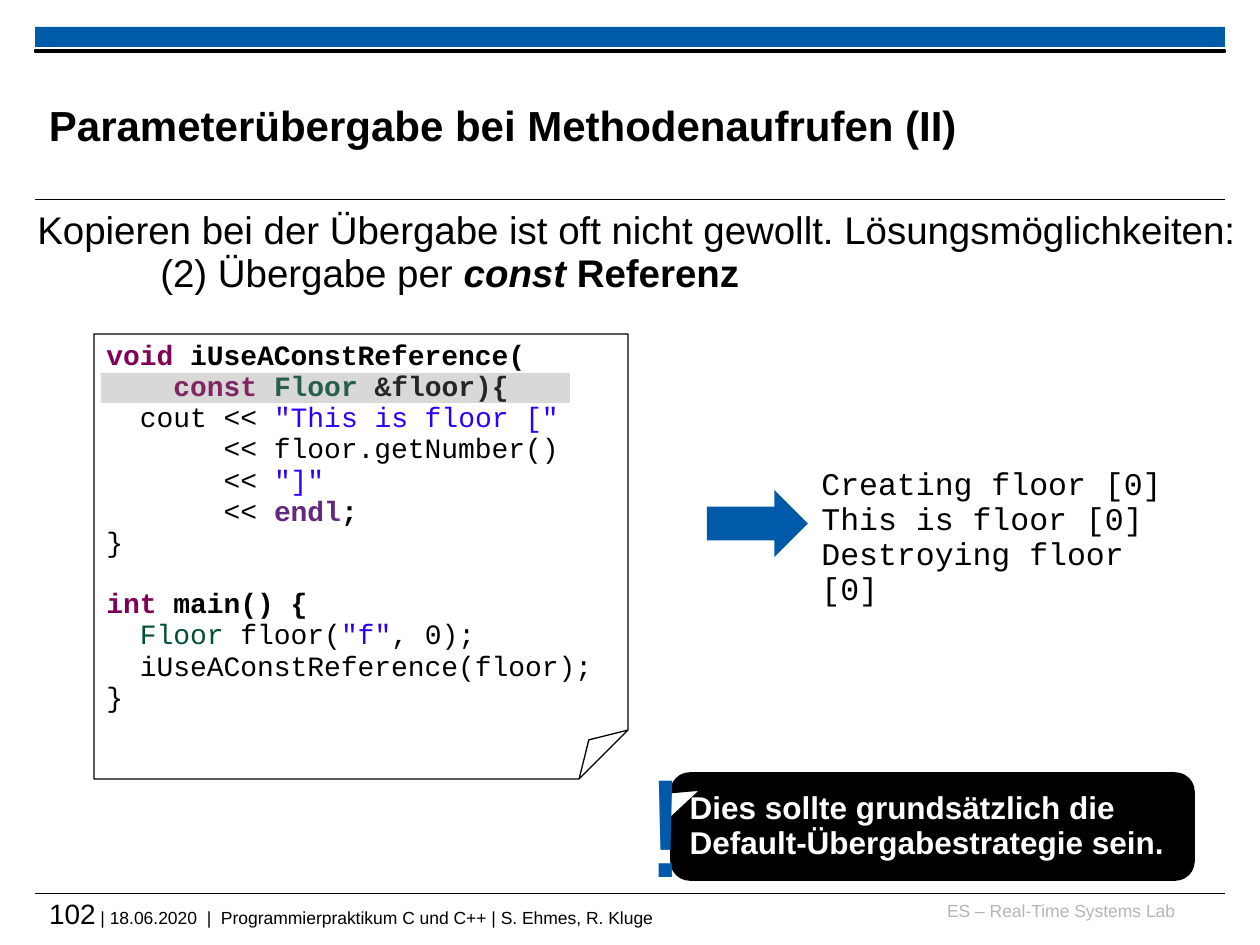
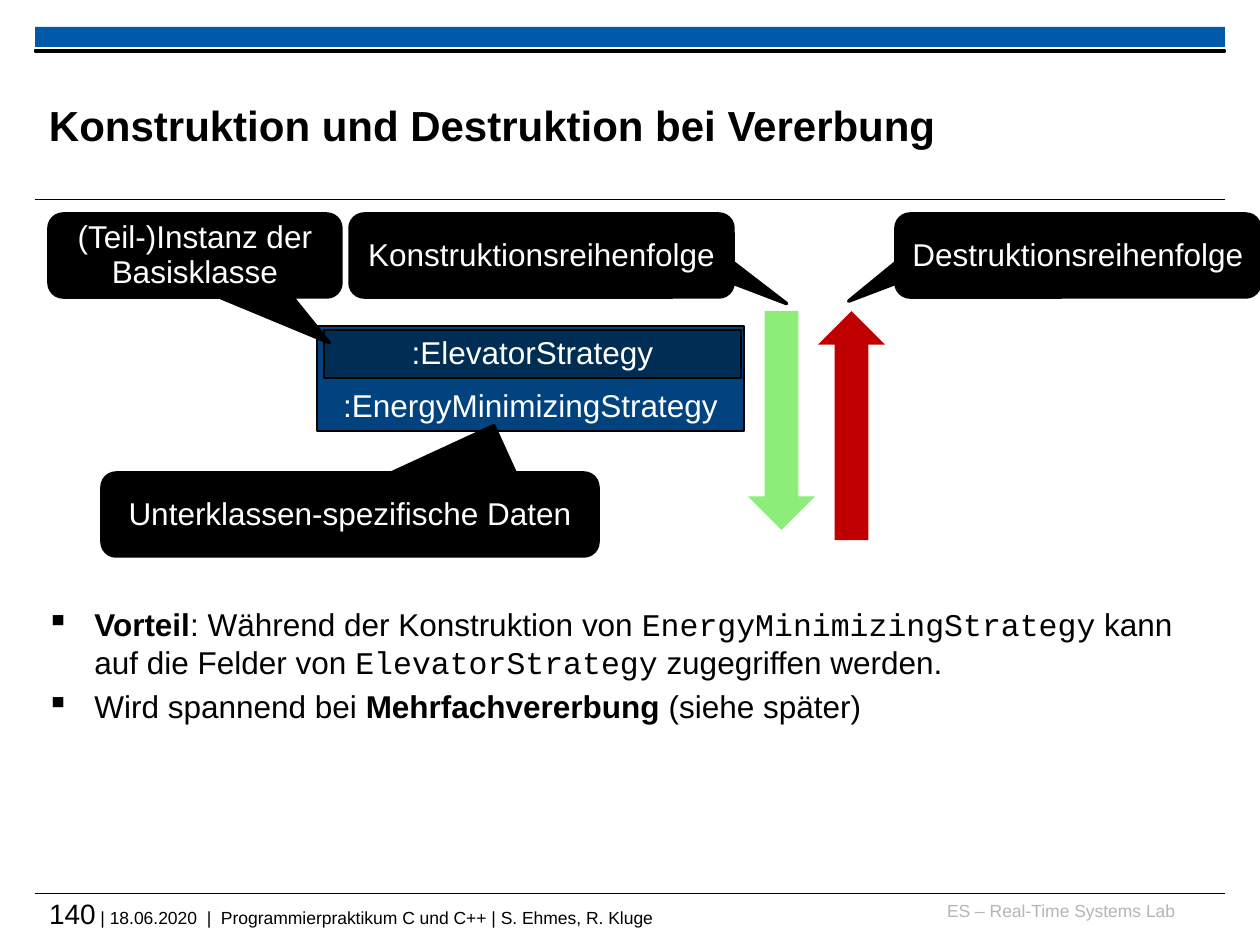
from lxml import etree
from pptx import Presentation
from pptx.dml.color import RGBColor
from pptx.enum.shapes import MSO_CONNECTOR, MSO_SHAPE
from pptx.enum.text import MSO_ANCHOR, PP_ALIGN
from pptx.oxml.ns import qn
from pptx.util import Emu, Pt

PX = 914400 / 126
WIDTH, HEIGHT = 1260, 945
BLACK, WHITE, BLUE, GREY = "000000", "FFFFFF", "005AA9", "B5B5B5"
MIDDLE, BOTTOM = MSO_ANCHOR.MIDDLE, MSO_ANCHOR.BOTTOM
CENTER, RIGHT = PP_ALIGN.CENTER, PP_ALIGN.RIGHT
RECT, ARROW = MSO_SHAPE.RECTANGLE, MSO_SHAPE.RIGHT_ARROW
CALLOUT = MSO_SHAPE.ROUNDED_RECTANGULAR_CALLOUT
TIGHT = 0.93

# Run styles: font values that differ from those of the text block
PLAIN = {}
BOLD = {"bold": True}
BOLD_ITALIC = {"bold": True, "italic": True}
MONO = {"name": "Courier New"}
KEYWORD = {"bold": True, "color": "7F0055"}
TYPE = {"color": "005032"}
BOLD_TYPE = {"bold": True, "color": "005032"}
STRING = {"color": "2A00FF"}
STREAM = {"bold": True, "color": "642880"}

FOOTER = " | 18.06.2020  |  Programmierpraktikum C und C++ | S. Ehmes, R. Kluge"
LAB = "ES – Real-Time Systems Lab"

INTRO = "Kopieren bei der Übergabe ist oft nicht gewollt. Lösungsmöglichkeiten:"
OPTION = [("(2) Übergabe per ", PLAIN), ("const", BOLD_ITALIC), (" Referenz", BOLD)]
FUNCTION_CODE = [
    [("void ", KEYWORD), ("iUseAConstReference(", BOLD)],
    [("    const ", KEYWORD), ("Floor ", BOLD_TYPE), ("&floor){", BOLD)],
    [("  cout << ", PLAIN), ('"This is floor ["', STRING)],
    "       << floor.getNumber()",
    [("       << ", PLAIN), ('"]"', STRING)],
    [("       << ", PLAIN), ("endl", STREAM), (";", BOLD)],
    "}",
]
MAIN_CODE = [
    [("int ", KEYWORD), ("main() {", BOLD)],
    [("  Floor ", TYPE), ("floor(", PLAIN), ('"f"', STRING), (", 0);", PLAIN)],
    "  iUseAConstReference(floor);",
    "}",
]
OUTPUT = ["Creating floor [0]", "This is floor [0]", "Destroying floor [0]"]
ADVICE = "Dies sollte grundsätzlich die Default-Übergabestrategie sein."

# text, box, fill, anchor
OBJECT_BOXES = [
    (":EnergyMinimizingStrategy", (317, 326, 427, 105), "00437F", BOTTOM),
    (":ElevatorStrategy", (324, 330, 417, 48), "002D54", MIDDLE),
]
# box before rotation, rotation, fill
ORDER_ARROWS = [
    ((672, 387, 219, 67), 90, "8CED79"),
    ((737, 392, 229, 67), 270, "C00000"),
]
# text, box, offset of the tip as a share of the box
CALLOUTS = [
    ("Konstruktionsreihenfolge", (350, 214, 383, 83), (0.64, 0.58)),
    ("Destruktionsreihenfolge", (896, 214, 364, 83), (-0.63, 0.55)),
    ("(Teil-)Instanz der Basisklasse", (49, 214, 292, 83), (0.46, 1.05)),
    ("Unterklassen-spezifische Daten", (102, 473, 496, 83), (0.29, -1.07)),
]
BULLETS = [
    [("Vorteil", BOLD), (": Während der Konstruktion von ", PLAIN),
     ("EnergyMinimizingStrategy", MONO), (" kann auf die Felder von ", PLAIN),
     ("ElevatorStrategy", MONO), (" zugegriffen werden.", PLAIN)],
    [("Wird spannend bei ", PLAIN), ("Mehrfachvererbung", BOLD),
     (" (siehe später)", PLAIN)],
]


def px(*lengths):
    return [Emu(round(length * PX)) for length in lengths]


def rgb(color):
    return RGBColor.from_string(color)


def add_runs(paragraph, runs, size, color, font):
    if isinstance(runs, str):
        runs = [(runs, PLAIN)]
    for text, style in runs:
        run = paragraph.add_run()
        run.text = text
        values = {"name": font, "size": Pt(size), "color": color, **style}
        run.font.color.rgb = rgb(values.pop("color"))
        for name, value in values.items():
            setattr(run.font, name, value)


def write(shape, paragraphs, size, color=BLACK, font="Arial", align=PP_ALIGN.LEFT,
          anchor=MSO_ANCHOR.TOP, spacing=TIGHT, insets=None, wrap=True):
    """Fill a shape with paragraphs; insets are (sides, top and bottom) in px."""
    frame = shape.text_frame
    frame.word_wrap = wrap
    frame.vertical_anchor = anchor
    if insets:
        side, edge = px(*insets)
        frame.margin_left = frame.margin_right = side
        frame.margin_top = frame.margin_bottom = edge
    for index, runs in enumerate(paragraphs):
        paragraph = frame.add_paragraph() if index else frame.paragraphs[0]
        paragraph.alignment = align
        paragraph.line_spacing = spacing
        add_runs(paragraph, runs, size, color, font)
    return frame.paragraphs


def indent(paragraph, left, first=0):
    properties = paragraph._p.get_or_add_pPr()
    for name, value in zip(("marL", "indent"), px(left, first)):
        properties.set(name, str(value))
    return properties


def add_text(slide, box, paragraphs, size, **options):
    return write(slide.shapes.add_textbox(*px(*box)), paragraphs, size, **options)


def set_adjustments(shape, values):
    """Write the guides as XML, as python-pptx knows none for a folded corner."""
    guides = shape._element.spPr.find(".//" + qn("a:avLst"))
    for guide in list(guides):
        guides.remove(guide)
    for number, value in enumerate(values, 1):
        name = f"adj{number}" if len(values) > 1 else "adj"
        etree.SubElement(guides, qn("a:gd"), name=name,
                         fmla=f"val {round(value * 100000)}")


def add_shape(slide, kind, box, fill=None, line=None, width=0.75, adjust=()):
    shape = slide.shapes.add_shape(kind, *px(*box))
    shape.shadow.inherit = False
    if fill:
        shape.fill.solid()
        shape.fill.fore_color.rgb = rgb(fill)
    else:
        shape.fill.background()
    if line:
        shape.line.color.rgb = rgb(line)
        shape.line.width = Pt(width)
    else:
        shape.line.fill.background()
    if adjust:
        set_adjustments(shape, adjust)
    return shape


def add_callout(slide, box, tip):
    return add_shape(slide, CALLOUT, box, BLACK, BLACK, 2, (*tip, 0.17))


def add_rule(slide, left, top, length):
    rule = slide.shapes.add_connector(
        MSO_CONNECTOR.STRAIGHT, *px(left, top, left + length, top))
    rule.line.color.rgb = rgb(BLACK)
    rule.line.width = Pt(0.6)
    etree.SubElement(rule._element.spPr, qn("a:effectLst"))


def add_base_slide(presentation, title, number):
    """Add a slide with the bands, rules, footer and title that all slides share."""
    slide = presentation.slides.add_slide(presentation.slide_layouts[6])
    add_rule(slide, 35, 894, 1190)
    add_shape(slide, RECT, (35, 27, 1190, 20), BLUE)
    add_rule(slide, 35, 200, 1190)
    add_shape(slide, RECT, (35, 50, 1190, 2), BLACK, BLACK)
    flush = {"spacing": 1, "insets": (0, 0)}
    add_text(slide, (927, 900, 248, 32), [LAB], 10, color=GREY, align=RIGHT, **flush)
    footer = [(number, {"size": Pt(16)}), (FOOTER, PLAIN)]
    add_text(slide, (49, 897, 1176, 42), [footer], 10, **flush)
    add_text(slide, (49, 67, 948, 116), [[(title, BOLD)]], 24, anchor=MIDDLE, **flush)
    return slide


def build_reference_slide(presentation):
    slide = add_base_slide(
        presentation, "Parameterübergabe bei Methodenaufrufen (II)", "102")
    page = add_shape(slide, MSO_SHAPE.FOLDED_CORNER, (94, 334, 534, 445),
                     line=BLACK, adjust=[0.11])
    code = write(page, FUNCTION_CODE + MAIN_CODE, 16, font="Courier New")
    code[len(FUNCTION_CODE)].space_before = Pt(17)

    intro = add_text(slide, (25, 204, 1250, 100), [INTRO, OPTION], 22)
    indent(intro[1], 123)

    add_shape(slide, ARROW, (707, 490, 101, 67), BLUE)
    add_text(slide, (809, 461, 384, 120), OUTPUT, 18, font="Courier New")
    advice = add_callout(slide, (672, 774, 521, 105), (-0.44, -0.36))
    write(advice, [[(ADVICE, BOLD)]], 18, WHITE, anchor=MIDDLE)
    add_text(slide, (640, 747, 52, 170), ["!"], 80, color=BLUE, align=CENTER,
             insets=(0, 6), wrap=False)

    highlight = add_shape(slide, RECT, (101, 373, 469, 30), "808080")
    color = highlight._element.spPr.find(".//" + qn("a:srgbClr"))
    etree.SubElement(color, qn("a:alpha"), val="30000")


def build_inheritance_slide(presentation):
    slide = add_base_slide(
        presentation, "Konstruktion und Destruktion bei Vererbung", "140")
    for text, box, fill, anchor in OBJECT_BOXES:
        shape = add_shape(slide, RECT, box, fill, BLACK)
        write(shape, [text], 18, WHITE, align=CENTER, anchor=anchor)
    for box, rotation, fill in ORDER_ARROWS:
        add_shape(slide, ARROW, box, fill).rotation = rotation
    for text, box, tip in CALLOUTS:
        write(add_callout(slide, box, tip), [text], 18, WHITE,
              align=CENTER, anchor=MIDDLE, insets=(8, 6))

    bullets = add_text(slide, (34, 599, 1191, 171), BULLETS, 18, spacing=1)
    for paragraph in bullets:
        properties = indent(paragraph, 48, -48)
        etree.SubElement(properties, qn("a:buChar"), char="▪")
    for paragraph in bullets[1:]:
        paragraph.space_before = Pt(3.6)


def main():
    presentation = Presentation()
    presentation.slide_width, presentation.slide_height = px(WIDTH, HEIGHT)
    build_reference_slide(presentation)
    build_inheritance_slide(presentation)
    presentation.save("out.pptx")


if __name__ == "__main__":
    main()
